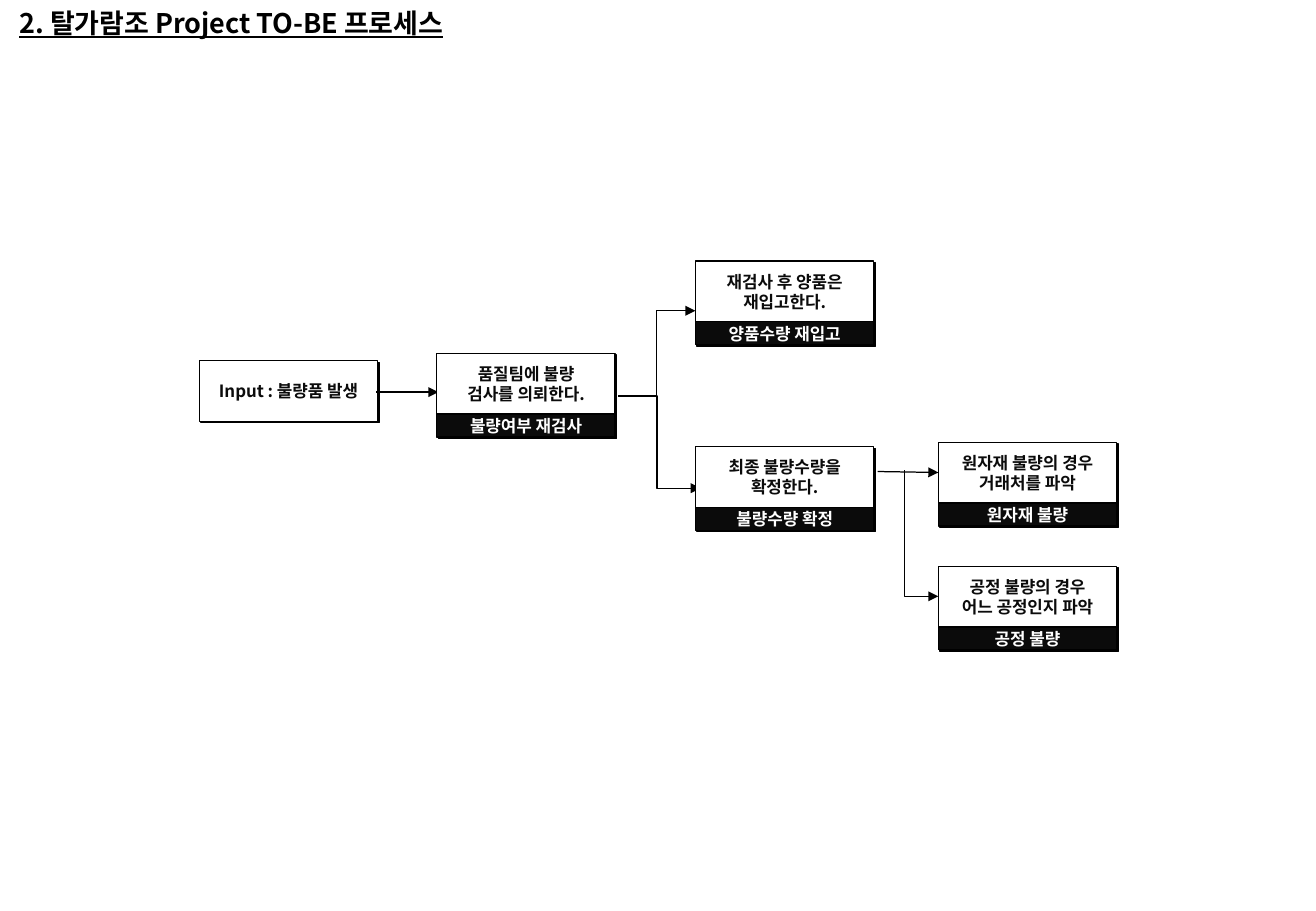
from lxml.etree import SubElement
from pptx import Presentation
from pptx.dml.color import RGBColor
from pptx.enum.shapes import MSO_CONNECTOR, MSO_SHAPE
from pptx.enum.text import MSO_ANCHOR, MSO_AUTO_SIZE, PP_ALIGN
from pptx.oxml.ns import qn
from pptx.util import Cm, Pt

BLACK = RGBColor(0x00, 0x00, 0x00)
INK = RGBColor(0x0B, 0x0B, 0x0B)
WHITE = RGBColor(0xFF, 0xFF, 0xFF)
FONT = "Noto Sans CJK KR"

# Sizes and columns in centimetres
STEP_WIDTH, STEP_HEIGHT, LABEL_HEIGHT = 3.73, 1.27, 0.48
INPUT_X, INSPECT_X, RESULT_X, CAUSE_X = 4.17, 9.14, 14.55, 19.63


def format_text(frame, size, color, align, underline=None):
    for paragraph in frame.paragraphs:
        paragraph.alignment = align
        for run in paragraph.runs:
            font = run.font
            font.name, font.size = FONT, Pt(size)
            font.bold, font.underline = True, underline
            font.color.rgb = color
            SubElement(run._r.get_or_add_rPr(), qn("a:ea"), typeface=FONT)


def add_title(slide, text):
    title = slide.shapes.title
    title.left, title.top = Cm(0.15), Cm(0)
    title.width, title.height = Cm(27.13), Cm(1.19)
    frame = title.text_frame
    frame.text = text
    frame.auto_size = MSO_AUTO_SIZE.NONE
    frame.word_wrap = True
    frame.vertical_anchor = MSO_ANCHOR.TOP
    format_text(frame, 16, BLACK, PP_ALIGN.LEFT, underline=True)


def add_hard_shadow(box):
    box.shadow.inherit = False
    effects = box._element.spPr.find(qn("a:effectLst"))
    shadow = SubElement(effects, qn("a:outerShdw"), blurRad="0",
                        dist=str(Pt(1.4)), dir="2700000", algn="ctr", rotWithShape="0")
    SubElement(shadow, qn("a:srgbClr"), val=str(BLACK))


def add_box(shapes, x, y, height, text, fill, color):
    box = shapes.add_shape(MSO_SHAPE.RECTANGLE, Cm(x), Cm(y), Cm(STEP_WIDTH), Cm(height))
    box.fill.solid()
    box.fill.fore_color.rgb = fill
    box.line.color.rgb = BLACK
    box.line.width = Pt(0.75)
    add_hard_shadow(box)
    frame = box.text_frame
    frame.text = text
    frame.word_wrap = True
    frame.vertical_anchor = MSO_ANCHOR.MIDDLE
    format_text(frame, 10, color, PP_ALIGN.CENTER)


def add_step(slide, x, y, description, label):
    """A description box with its dark label underneath, grouped."""
    step = slide.shapes.add_group_shape().shapes
    add_box(step, x, y, STEP_HEIGHT, description, WHITE, INK)
    add_box(step, x, y + STEP_HEIGHT, LABEL_HEIGHT, label, INK, WHITE)


def add_arrow(slide, start, end, bend=None):
    """A straight arrow, or an elbow that turns at the share `bend` of its width."""
    kind = MSO_CONNECTOR.STRAIGHT if bend is None else MSO_CONNECTOR.ELBOW
    arrow = slide.shapes.add_connector(kind, *(Cm(length) for length in start + end))
    arrow.line.color.rgb = BLACK
    arrow.line.width = Pt(0.75)
    properties = arrow._element.spPr
    SubElement(properties.find(qn("a:ln")), qn("a:tailEnd"), type="triangle")
    SubElement(properties, qn("a:effectLst"))
    if bend is not None:
        guides = properties.find(qn("a:prstGeom")).find(qn("a:avLst"))
        SubElement(guides, qn("a:gd"), name="adj1", fmla=f"val {round(bend * 100000)}")


def main():
    presentation = Presentation()
    presentation.slide_width, presentation.slide_height = Cm(27.53), Cm(19.05)
    slide = presentation.slides.add_slide(presentation.slide_layouts[5])
    add_title(slide, "2. 탈가람조 Project TO-BE 프로세스")

    # Input and the arrows around the inspection
    add_box(slide.shapes, INPUT_X, 7.54, STEP_HEIGHT, "Input : 불량품 발생", WHITE, INK)
    inspection_exit = (12.93, 8.28)
    add_arrow(slide, inspection_exit, (RESULT_X, 6.5), bend=0.5)
    add_arrow(slide, (7.87, 8.2), (9.17, 8.2))
    add_arrow(slide, inspection_exit, (14.66, 10.21), bend=0.47)
    add_step(slide, INSPECT_X, 7.39, "품질팀에 불량\n검사를 의뢰한다.", "불량여부 재검사")

    # Causes of the confirmed defects
    add_step(slide, CAUSE_X, 9.25, "원자재 불량의 경우\n거래처를 파악", "원자재 불량")
    add_arrow(slide, (18.36, 9.86), (CAUSE_X, 9.88))
    add_arrow(slide, (18.92, 9.83), (CAUSE_X, 12.47), bend=0)
    add_step(slide, CAUSE_X, 11.84, "공정 불량의 경우\n어느 공정인지 파악", "공정 불량")

    # Results of the inspection
    add_step(slide, RESULT_X, 5.46, "재검사 후 양품은\n재입고한다.", "양품수량 재입고")
    add_step(slide, RESULT_X, 9.34, "최종 불량수량을\n확정한다.", "불량수량 확정")

    presentation.save("out.pptx")


if __name__ == "__main__":
    main()
